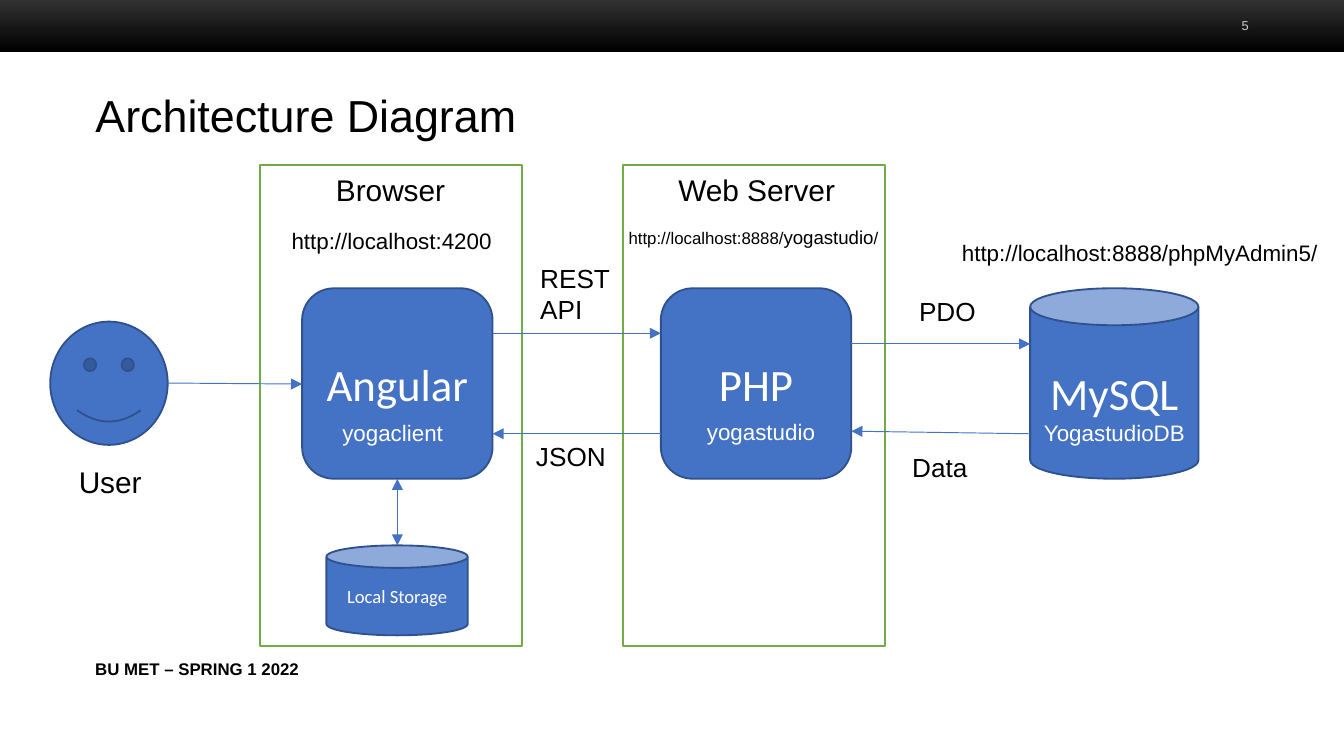
import pptx
import pptx.dml.color
import pptx.enum.shapes
import pptx.enum.text
import pptx.oxml
import pptx.oxml.ns
import pptx.util

Cm = pptx.util.Cm
SHAPES = pptx.enum.shapes.MSO_SHAPE
ALIGN = pptx.enum.text.PP_ALIGN
ANCHOR = pptx.enum.text.MSO_ANCHOR


def color(value):
    return pptx.dml.color.RGBColor.from_string(value)


class DiagramSlide:
    blue = "4472C4"
    outline = "2F528F"
    green = "70AD47"
    black = "000000"
    white = "FFFFFF"
    text_font = "Arial"
    node_font = "Calibri"

    def __init__(self, presentation):
        self.slide = presentation.slides.add_slide(presentation.slide_layouts[5])

    def format_run(self, run, size, font_name, font_color, bold=False):
        run.font.size = pptx.util.Pt(size)
        run.font.name = font_name
        run.font.bold = bold
        run.font.color.rgb = color(font_color)

    def title(self, text, left, top, width, height):
        title = self.slide.shapes.title
        title.left, title.top, title.width, title.height = map(Cm, (left, top, width, height))
        frame = title.text_frame
        frame.text = text
        frame.vertical_anchor = ANCHOR.BOTTOM
        frame.paragraphs[0].alignment = ALIGN.LEFT
        frame.paragraphs[0].line_spacing = 0.9
        self.format_run(frame.paragraphs[0].runs[0], 24, self.text_font, self.black)

    def header_bar(self, left, top, width, height):
        bar = self.slide.shapes.add_shape(SHAPES.RECTANGLE, *map(Cm, (left, top, width, height)))
        bar.shadow.inherit = False
        bar.line.fill.background()
        bar.fill.gradient()
        bar.fill.gradient_angle = 270
        for stop, value in zip(bar.fill.gradient_stops, ("333333", self.black)):
            stop.color.rgb = color(value)

    def shape(self, kind, left, top, width, height, text="", size=24,
              fill=blue, line=outline, adjustment=None):
        shape = self.slide.shapes.add_shape(kind, *map(Cm, (left, top, width, height)))
        shape.shadow.inherit = False
        shape.fill.solid()
        shape.fill.fore_color.rgb = color(fill)
        shape.line.color.rgb = color(line)
        shape.line.width = pptx.util.Pt(1)
        if adjustment is not None:
            shape.adjustments[0] = adjustment
        if text:
            frame = shape.text_frame
            frame.text = text
            frame.vertical_anchor = ANCHOR.MIDDLE
            frame.paragraphs[0].alignment = ALIGN.CENTER
            self.format_run(frame.paragraphs[0].runs[0], size, self.node_font, self.white)

    def container(self, left):
        self.shape(SHAPES.FLOWCHART_PROCESS, left, 3.12, 4.95, 9.09,
                   fill=self.white, line=self.green)

    def label(self, pieces, left, top, width, height, font_color=black, bold=False):
        box = self.slide.shapes.add_textbox(*map(Cm, (left, top, width, height)))
        frame = box.text_frame
        frame.word_wrap = True
        frame.margin_right = 0
        paragraph = frame.paragraphs[0]
        for text, size in pieces:
            for index, line in enumerate(text.split("\n")):
                if index:
                    paragraph.add_line_break()
                run = paragraph.add_run()
                run.text = line
                self.format_run(run, size, self.text_font, font_color, bold)

    def slide_number(self, text, left, top, width, height):
        box = self.slide.shapes.add_textbox(*map(Cm, (left, top, width, height)))
        box.text_frame.word_wrap = True
        paragraph = box.text_frame.paragraphs[0]
        paragraph.text = text
        paragraph.alignment = ALIGN.RIGHT
        run = paragraph.runs[0]
        self.format_run(run, 12, self.text_font, "CCCCCC")
        run._r.get_or_add_rPr().set("baseline", "30000")

    def arrow(self, start, end, both_ends=False):
        connector = self.slide.shapes.add_connector(
            pptx.enum.shapes.MSO_CONNECTOR.STRAIGHT, *map(Cm, start + end))
        connector.line.color.rgb = color(self.blue)
        connector.line.width = pptx.util.Pt(0.5)
        line = connector.line._get_or_add_ln()
        for name in ("a:headEnd", "a:tailEnd") if both_ends else ("a:tailEnd",):
            end_mark = pptx.oxml.parse_xml(f"<{name} {pptx.oxml.ns.nsdecls('a')} type='triangle'/>")
            line.append(end_mark)
        effects = pptx.oxml.parse_xml(f"<a:effectLst {pptx.oxml.ns.nsdecls('a')}/>")
        connector._element.spPr.append(effects)


def main():
    presentation = pptx.Presentation()
    presentation.slide_width = Cm(25.4)
    presentation.slide_height = Cm(14.29)
    diagram = DiagramSlide(presentation)

    diagram.header_bar(0, -0.03, 25.4, 1.02)
    diagram.label([("BU MET – SPRING 1 2022", 9)], 1.55, 12.32, 12.95, 0.64, bold=True)
    diagram.slide_number("5", 20.88, 0.15, 2.97, 0.64)
    diagram.title("Architecture Diagram", 1.55, -0.25, 13.69, 3.07)

    for left in (11.78, 4.91):
        diagram.container(left)

    node_top, node_size = 5.45, 3.6
    angular_left, php_left, database_left = 5.71, 12.49, 19.47
    angular_right, php_right = angular_left + node_size, php_left + node_size
    diagram.shape(SHAPES.CAN, database_left, node_top, 3.18, node_size, "MySQL", adjustment=0.22)
    for left, text in ((php_left, "PHP"), (angular_left, "Angular")):
        diagram.shape(SHAPES.ROUNDED_RECTANGLE, left, node_top, node_size, node_size, text)
    diagram.shape(SHAPES.SMILEY_FACE, 0.95, 6.08, 2.22, 2.33)
    diagram.shape(SHAPES.CAN, 6.17, 10.31, 2.67, 1.7, "Local Storage", 10, adjustment=0.25)

    for start, end in (
        ((3.17, 7.24), (angular_left, 7.26)),
        ((angular_right, 6.3), (php_left, 6.3)),
        ((php_left, 8.2), (angular_right, 8.2)),
        ((php_right, 6.5), (database_left, 6.5)),
        ((database_left, 8.2), (php_right, 8.15)),
    ):
        diagram.arrow(start, end)
    diagram.arrow((7.51, node_top + node_size), (7.51, 10.31), both_ends=True)

    for text, size, left, top, width, height in (
        ("Browser", 16, 6.1, 3.12, 2.87, 0.94),
        ("Web Server", 16, 12.57, 3.12, 3.51, 0.94),
        ("User", 16, 1.24, 8.64, 1.85, 0.94),
        ("REST\nAPI", 14, 9.96, 4.83, 1.88, 1.45),
        ("JSON", 14, 9.88, 8.2, 1.85, 0.86),
        ("PDO", 14, 17.12, 5.46, 1.6, 0.86),
        ("Data", 14, 16.99, 8.41, 1.55, 0.86),
        ("http://localhost:4200", 12, 5.26, 4.17, 4.32, 0.76),
        ("http://localhost:8888/phpMyAdmin5/", 12, 17.93, 4.39, 7.29, 0.76),
    ):
        diagram.label([(text, size)], left, top, width, height)
    diagram.label([("http://localhost:8888/", 9), ("yogastudio", 10), ("/", 9)],
                  11.63, 4.14, 5.26, 0.69)

    for text, left, top, width in (
        ("yogaclient", 6.22, 7.8, 2.62),
        ("yogastudio", 13.11, 7.77, 2.62),
        ("YogastudioDB", 19.48, 7.8, 3.38),
    ):
        diagram.label([(text, 12)], left, top, width, 0.76, font_color=diagram.white)

    presentation.save("out.pptx")


if __name__ == "__main__":
    main()
